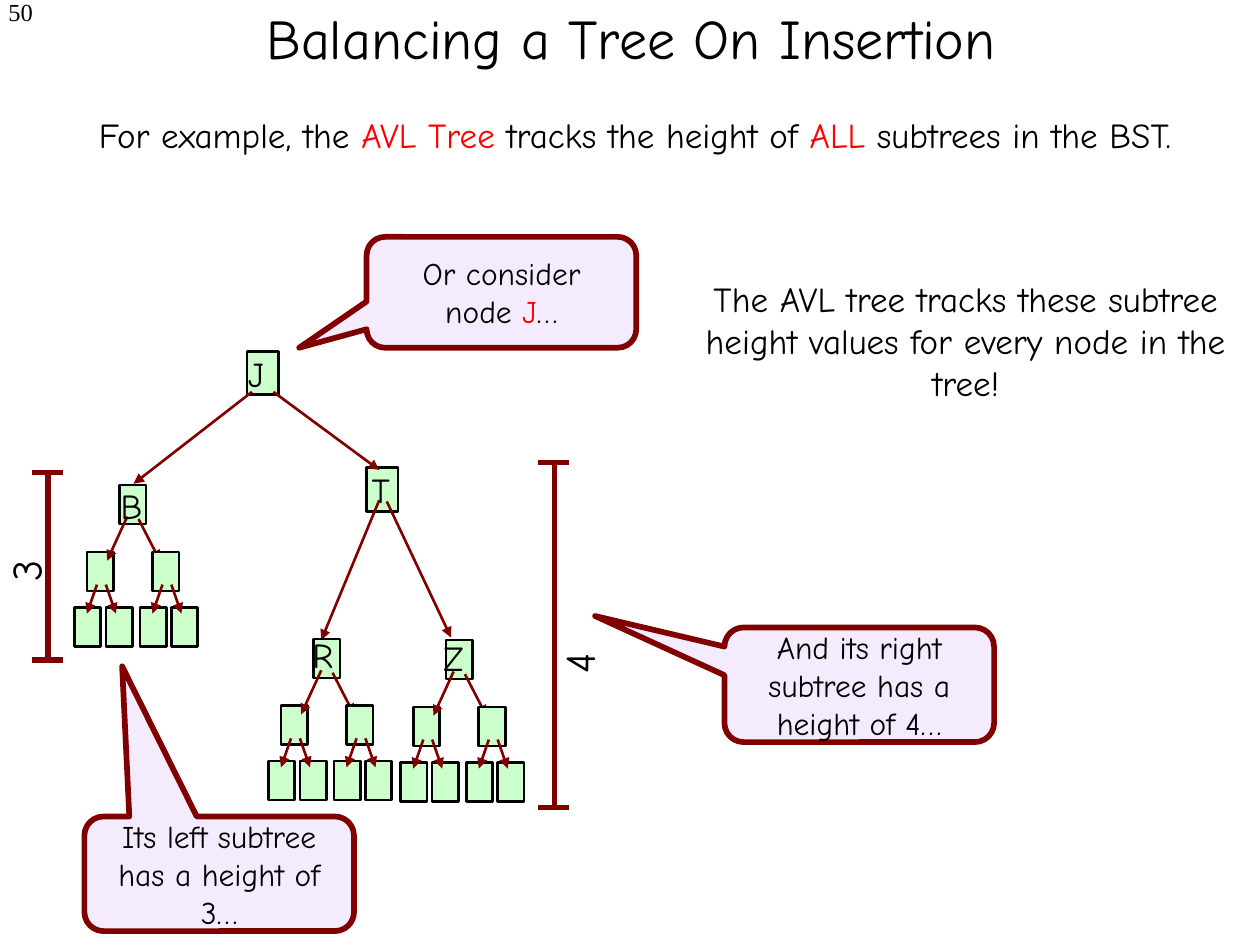
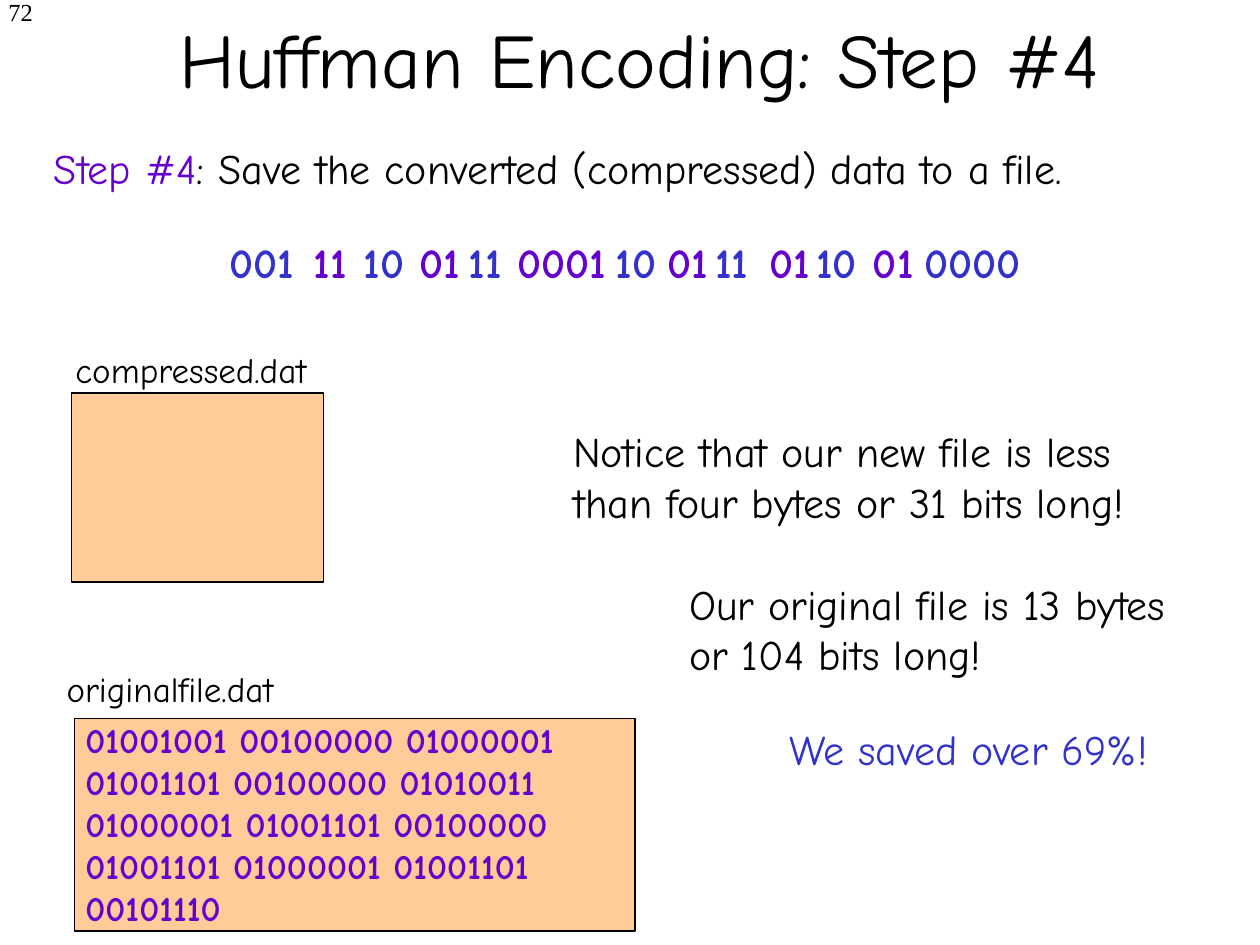
from dataclasses import dataclass

from lxml.etree import SubElement
from pptx import Presentation
from pptx.dml.color import RGBColor
from pptx.enum.shapes import MSO_CONNECTOR as Connector, MSO_SHAPE as Shape
from pptx.enum.text import MSO_ANCHOR as Anchor, MSO_AUTO_SIZE as AutoSize, PP_ALIGN as Align
from pptx.oxml.ns import qn
from pptx.util import Inches, Pt


@dataclass(frozen=True)
class Theme:
    font: str = "Comic Neue"
    number_font: str = "Times New Roman"
    ink: str = "000000"
    red: str = "FF0000"
    maroon: str = "800000"
    purple: str = "6600CC"
    blue: str = "3333CC"
    node: str = "CCFFCC"
    callout: str = "F5EBFF"
    file: str = "FFCC99"
    number_size: int = 14
    callout_size: int = 18
    body_size: int = 20
    large_size: int = 24
    thin: float = 0.75
    normal: float = 1.5
    thick: float = 3.25


THEME = Theme()
NODE_W, NODE_H = 0.21, 0.31


def write(frame, text, *, size=THEME.body_size, color=THEME.ink, font=THEME.font,
          bold=False, align=Align.LEFT, anchor=Anchor.TOP, wrap=True, fit=AutoSize.NONE):
    frame.word_wrap = wrap
    frame.auto_size = fit
    frame.vertical_anchor = anchor
    pieces = [(text, color)] if isinstance(text, str) else text
    paragraph = frame.paragraphs[0]
    paragraph.alignment = align
    for piece, tint in pieces:
        for index, line in enumerate(piece.split("\n")):
            if index:
                paragraph.add_line_break()
            run = paragraph.add_run()
            run.text = line
            run.font.name = font
            run.font.size = Pt(size)
            run.font.bold = bold
            run.font.color.rgb = RGBColor.from_string(tint)


class Deck:
    def __init__(self):
        self.deck = Presentation()
        self.deck.slide_width = Inches(10)
        self.deck.slide_height = Inches(7.5)
        self.slide = None
        self.shapes = None

    def new_slide(self, number, title, left, top, size):
        self.slide = self.deck.slides.add_slide(self.deck.slide_layouts[5])
        self.shapes = self.slide.shapes
        heading = self.shapes.title
        heading.left, heading.top, heading.width, heading.height = map(
            Inches, (left, top, 8.5, 1.25))
        write(heading.text_frame, title, size=size, align=Align.CENTER, anchor=Anchor.MIDDLE)
        page = self.text(number, 0, -0.07, 0.36, 0.5, size=THEME.number_size,
                         font=THEME.number_font, align=Align.RIGHT, fit=AutoSize.NONE)
        page.text_frame.margin_left = 0

    def start_group(self):
        self.shapes = self.slide.shapes.add_group_shape().shapes

    def end_group(self):
        self.shapes = self.slide.shapes

    def text(self, text, left, top, width, height=0.43, *, fit=AutoSize.SHAPE_TO_FIT_TEXT,
             rotation=0, **style):
        box = self.shapes.add_textbox(*map(Inches, (left, top, width, height)))
        box.rotation = rotation
        write(box.text_frame, text, fit=fit, **style)
        return box

    def block(self, left, top, width, height, fill, *, line=THEME.ink,
              weight=THEME.normal, kind=Shape.RECTANGLE):
        block = self.shapes.add_shape(kind, *map(Inches, (left, top, width, height)))
        block.shadow.inherit = False
        block.fill.solid()
        block.fill.fore_color.rgb = RGBColor.from_string(fill)
        block.line.color.rgb = RGBColor.from_string(line)
        block.line.width = Pt(weight)
        return block

    def callout(self, text, left, top, height, tip_x, tip_y):
        bubble = self.block(left, top, 2.14, height, THEME.callout, line=THEME.maroon,
                            weight=THEME.thick, kind=Shape.ROUNDED_RECTANGULAR_CALLOUT)
        bubble.adjustments[0] = tip_x
        bubble.adjustments[1] = tip_y
        write(bubble.text_frame, text, size=THEME.callout_size,
              align=Align.CENTER, anchor=Anchor.MIDDLE)

    def line(self, x1, y1, x2, y2, *, weight=THEME.normal, arrow=True):
        line = self.shapes.add_connector(
            Connector.STRAIGHT, *map(Inches, (x1, y1, x2, y2)))
        line.line.color.rgb = RGBColor.from_string(THEME.maroon)
        line.line.width = Pt(weight)
        properties = line.element.spPr
        if arrow:
            SubElement(properties.find(qn("a:ln")), qn("a:tailEnd"), type="triangle")
        SubElement(properties, qn("a:effectLst"))

    def node(self, left, top, width=NODE_W, height=NODE_H):
        self.block(left, top, width, height, THEME.node)

    def branch(self, left, top):
        self.node(left, top)
        for leaf in (-0.1, 0.15):
            self.node(left + leaf, top + 0.44)
        for start, end in ((0.08, 0), (0.15, 0.23)):
            self.line(left + start, top + 0.26, left + end, top + 0.49)

    def subtree(self, left, top):
        self.start_group()
        self.branch(left - 0.26, top + 0.53)
        self.node(left, top)
        self.line(left + 0.06, top + 0.25, left - 0.1, top + 0.6)
        self.line(left + 0.15, top + 0.27, left + 0.32, top + 0.6)
        self.branch(left + 0.26, top + 0.53)
        self.end_group()

    def height_bar(self, height, x, top, bottom, label_left, label_top):
        self.start_group()
        self.line(x, top, x, bottom, weight=THEME.thick, arrow=False)
        for y in (top, bottom):
            self.line(x - 0.13, y, x + 0.12, y, weight=THEME.thick, arrow=False)
        self.text(height, label_left, label_top, 0.4, 0.5, size=THEME.large_size,
                  wrap=False, rotation=270)
        self.end_group()


def build_avl_slide(deck):
    deck.new_slide("50", "Balancing a Tree On Insertion", 0.76, -0.33, 32)
    deck.text([("For example, the ", THEME.ink), ("AVL Tree", THEME.red),
               (" tracks the height of ", THEME.ink), ("ALL", THEME.red),
               (" subtrees in the BST.", THEME.ink)],
              0.08, 0.85, 9.92, align=Align.CENTER)

    deck.subtree(0.95, 3.85)
    deck.node(2.91, 3.71, 0.25, 0.35)
    deck.line(3.01, 3.97, 2.55, 5.08)
    deck.line(3.07, 3.98, 3.58, 5.06)
    deck.node(1.96, 2.79, 0.25, 0.34)
    deck.line(2, 3.11, 1.06, 3.84)
    deck.line(2.17, 3.11, 3.01, 3.73)
    deck.subtree(2.49, 5.07)
    deck.subtree(3.54, 5.08)
    for key, left, top in (("J", 1.87, 2.75), ("B", 0.86, 3.8), ("T", 2.85, 3.67),
                           ("R", 2.38, 4.98), ("Z", 3.42, 5)):
        deck.text(key, left, top, 0.39, wrap=False)

    deck.height_bar("3", 0.38, 3.75, 5.24, 0, 4.26)
    deck.callout([("Or consider node ", THEME.ink), ("J", THEME.red), ("…", THEME.ink)],
                 2.91, 1.88, 0.88, -0.75, 0.5)
    deck.callout("Its left subtree has a height of 3…", 0.67, 6.48, 0.91, -0.36, -1.81)
    deck.callout("And its right subtree has a height of 4…", 5.75, 4.98, 0.91, -0.98, -0.6)
    deck.height_bar("4", 4.4, 3.67, 6.41, 4.39, 4.99)
    deck.text("The AVL tree tracks these subtree height values for every node in the tree!",
              5.5, 2.15, 4.33, 1.11, align=Align.CENTER)


def build_huffman_slide(deck):
    deck.new_slide("72", "Huffman Encoding: Step #4", 0.83, -0.17, 44)
    large = {"size": THEME.large_size}
    deck.text([("Step #4", THEME.purple),
               (": Save the converted (compressed) data to a file.", THEME.ink)],
              0.33, 1.08, 9.15, 0.5, wrap=False, **large)

    codes = (("001", 1.72), ("11", 2.39), ("10", 2.79), ("01", 3.23), ("11", 3.62),
             ("0001", 4.01), ("10", 4.79), ("01", 5.2), ("11", 5.58), ("01", 6.01),
             ("10", 6.38), ("01", 6.83), ("0000", 7.24))
    for index, (code, left) in enumerate(codes):
        deck.text(code, left, 1.83, 0.21 + 0.2 * len(code), 0.5, bold=True, wrap=False,
                  color=THEME.purple if index % 2 else THEME.blue, **large)

    deck.text("compressed.dat", 0.5, 2.72, 2.23, wrap=False)
    deck.block(0.57, 3.12, 2, 1.5, THEME.file, weight=THEME.thin)
    deck.text("Notice that our new file is less\nthan four bytes or 31 bits long!",
              4.45, 3.33, 5.15, 0.91, wrap=False, **large)

    deck.text("originalfile.dat", 0.43, 5.25, 2.1)
    deck.block(0.59, 5.7, 4.45, 1.69, THEME.file, weight=THEME.thin)
    deck.text("01001001 00100000 01000001\n01001101 00100000 01010011\n"
              "01000001 01001101 00100000\n01001101 01000001 01001101\n00101110",
              0.58, 5.65, 4.64, 1.77, color=THEME.purple, bold=True, wrap=False)

    deck.text("Our original file is 13 bytes or 104 bits long!",
              5.37, 4.54, 3.98, 0.9, **large)
    deck.text("We saved over 69%!", 6.17, 5.69, 3.8, 0.5, color=THEME.blue, **large)


def main():
    deck = Deck()
    build_avl_slide(deck)
    build_huffman_slide(deck)
    deck.deck.save("out.pptx")


if __name__ == "__main__":
    main()
